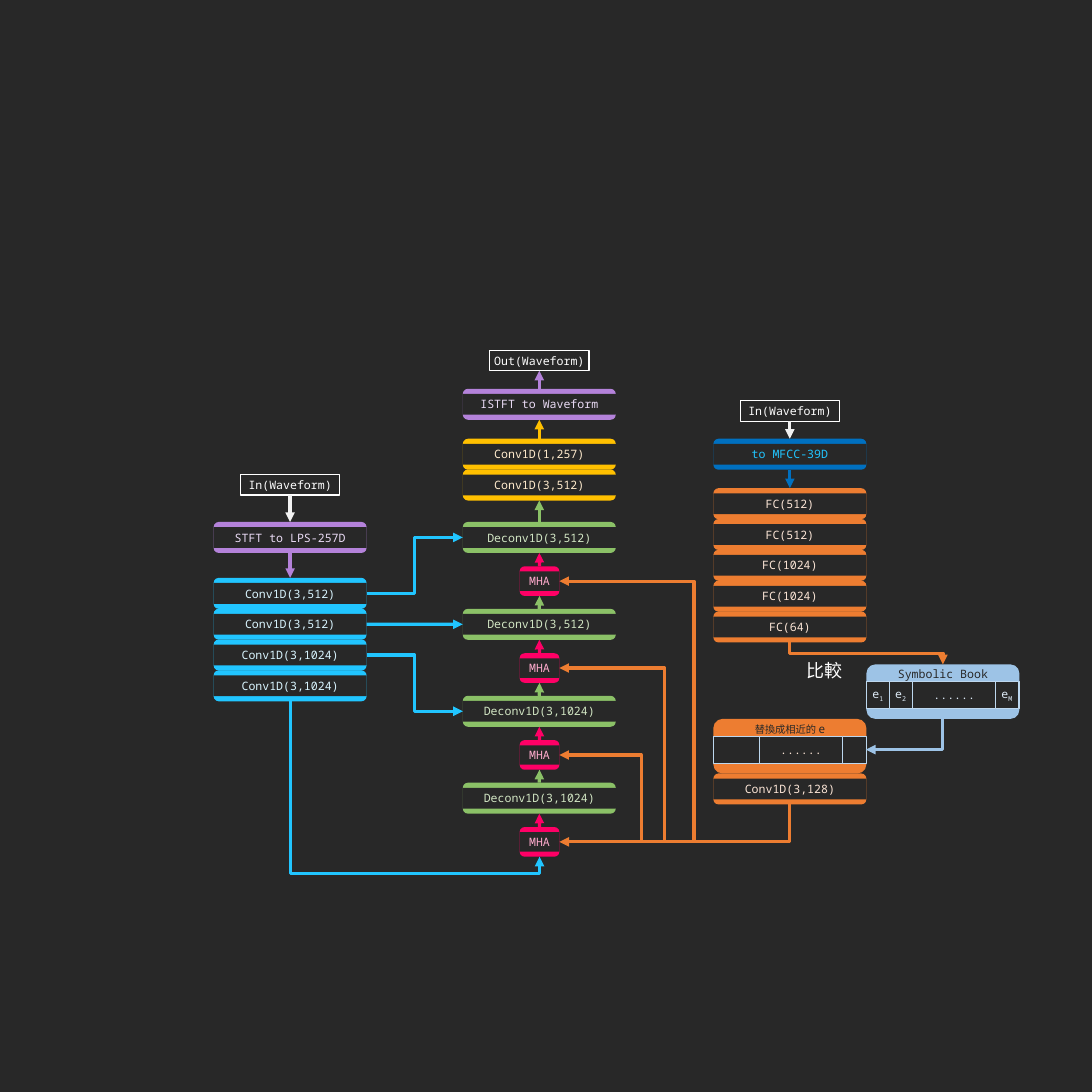
from dataclasses import dataclass
from typing import Optional

from lxml.etree import SubElement
from pptx import Presentation
from pptx.dml.color import RGBColor as RGB
from pptx.dml.line import LineFormat
from pptx.enum.shapes import MSO_CONNECTOR as CONN, MSO_SHAPE as SHAPE
from pptx.enum.text import MSO_ANCHOR as ANCHOR, PP_ALIGN as ALIGN
from pptx.oxml.ns import qn
from pptx.shapes.autoshape import Shape
from pptx.shapes.shapetree import GroupShapes, SlideShapes
from pptx.util import Inches, Pt

MONO, CJK = "Noto Sans Mono", "Noto Sans CJK TC"
COLORS = {
    "bg": "282828", "white": "FFFFFF", "io": "F2F2F2",
    "conv": "21C5FF", "conv_text": "D9F5FF",
    "deconv": "8BC167", "deconv_text": "D2E6C4",
    "final": "FFC000", "final_text": "FFEBCD",
    "stft": "B482DA", "stft_text": "EADBF5",
    "mha": "FF0066", "mha_text": "FFABCD",
    "mfcc": "0070C0", "mfcc_text": "21C5FF",
    "fc": "ED7D31", "fc_text": "FBE5D6",
    "book": "9DC3E6", "book_text": "DEEBF7", "cell": "BDD7EE",
}
TOP, LEFT, BOTTOM, RIGHT = range(4)
ENC_X, DEC_X, SYM_X = 4.62, 10.01, 15.43
BLOCK_W, BLOCK_H, PITCH, STAGE = 3.31, 0.67, 2 / 3, 1.88
DECODER_Y = 11.29


@dataclass
class Block:
    key: str
    tone: str
    text: str
    left: float
    top: float
    width: float = BLOCK_W
    height: float = BLOCK_H
    band: float = 0.11


@dataclass
class Cell:
    offset: float
    width: float
    text: str
    sub: str = ""


@dataclass
class Book:
    key: str
    tone: str
    left: float
    top: float
    title: list[tuple[str, str, int]]
    cells: list[Cell]


@dataclass
class Arrow:
    src: str
    dst: str
    src_side: int = TOP
    dst_side: int = BOTTOM
    bend: str = ""
    lane_y: Optional[float] = None
    lane_x: Optional[float] = None


def rgb(name: str) -> RGB:
    return RGB.from_string(COLORS[name])


def fade_line(line: LineFormat, start: str, end: str, width: float) -> None:
    line.width = Pt(width)
    line.fill.gradient()
    for stop, name in zip(line.fill.gradient_stops, (start, end)):
        stop.color.rgb = rgb(name)


def add_box(shapes: GroupShapes | SlideShapes, kind: SHAPE, left: float, top: float,
            width: float, height: float, fill: str = "bg") -> Shape:
    sp = shapes.add_shape(kind, Inches(left), Inches(top), Inches(width), Inches(height))
    sp.shadow.inherit = False
    sp.fill.solid()
    sp.fill.fore_color.rgb = rgb(fill)
    sp.line.fill.background()
    return sp


def add_text(sp: Shape, text: str, *, color: str, size: int = 18,
             font: str = MONO, sub: bool = False) -> None:
    tf = sp.text_frame
    tf.word_wrap = False
    tf.vertical_anchor = ANCHOR.MIDDLE
    tf.margin_left = tf.margin_right = tf.margin_top = tf.margin_bottom = 0
    p = tf.paragraphs[0]
    p.alignment = ALIGN.CENTER
    r = p.add_run()
    r.text = text
    r.font.size = Pt(size)
    r.font.color.rgb = rgb(color)
    r.font.name = font
    props = r._r.get_or_add_rPr()
    SubElement(props, qn("a:ea")).set("typeface", font)
    if sub:
        props.set("baseline", "-25000")


def draw_block(shapes: SlideShapes, b: Block) -> Shape:
    group = shapes.add_group_shape().shapes
    frame = add_box(group, SHAPE.ROUNDED_RECTANGLE, b.left, b.top, b.width, b.height, b.tone)
    label = add_box(group, SHAPE.RECTANGLE, b.left, b.top + b.band, b.width,
                    b.height - 2 * b.band)
    add_text(label, b.text, color=f"{b.tone}_text")
    return frame


def draw_port(shapes: SlideShapes, text: str, left: float, top: float) -> Shape:
    sp = add_box(shapes, SHAPE.RECTANGLE, left, top, 2.15, 0.44)
    sp.line.color.rgb = rgb("white")
    sp.line.width = Pt(2)
    add_text(sp, text, color="white")
    return sp


def draw_book(shapes: SlideShapes, b: Book) -> tuple[Shape, Shape]:
    group = shapes.add_group_shape().shapes
    frame = add_box(group, SHAPE.ROUNDED_RECTANGLE, b.left, b.top, BLOCK_W, 1.18, b.tone)
    edge = "cell" if b.tone == "book" else b.tone
    row = None
    for cell in [Cell(0, 3.3, "")] + b.cells:
        sp = add_box(group, SHAPE.RECTANGLE, b.left + cell.offset, b.top + 0.37, cell.width, 0.59)
        fade_line(sp.line, "cell", edge, 1)
        row = row or sp
        if cell.text:
            add_text(sp, cell.text, color=f"{b.tone}_text")
        if cell.sub:
            add_text(sp, cell.sub, color=f"{b.tone}_text", sub=True)
    title = group.add_textbox(Inches(b.left), Inches(b.top - 0.04), Inches(BLOCK_W), Inches(0.49))
    for text, font, size in b.title:
        add_text(title, text, color="bg", size=size, font=font)
    return frame, row


def draw_arrow(shapes: SlideShapes, a: Arrow, nodes: dict[str, Shape],
               tones: dict[str, str]) -> None:
    c = shapes.add_connector(CONN.ELBOW if a.bend else CONN.STRAIGHT, 0, 0, 0, 0)
    c.begin_connect(nodes[a.src], a.src_side)
    c.end_connect(nodes[a.dst], a.dst_side)
    fade_line(c.line, tones[a.src], tones[a.dst], 5)
    props = c._element.spPr
    SubElement(props.find(qn("a:ln")), qn("a:tailEnd")).set("type", "triangle")
    SubElement(props, qn("a:effectLst"))
    if not a.bend or a.src_side != BOTTOM:
        return
    x, y = c.begin_x, c.begin_y
    dx, dy = c.end_x - x, c.end_y - y
    c.left, c.top = x + (dx - abs(dy)) // 2, y + (dy - abs(dx)) // 2
    c.width, c.height = abs(dy), abs(dx)
    xfrm = props.find(qn("a:xfrm"))
    xfrm.set("rot", str((270 if dx > 0 else 90) * 60000))
    xfrm.set("flipH", str(int(dx * dy > 0)))
    xfrm.set("flipV", "0")
    geom = props.find(qn("a:prstGeom"))
    geom.set("prst", a.bend)
    guides = geom.get_or_add_avLst()
    lanes = [(a.lane_y, y, dy), (a.lane_x, x, dx)]
    for i, (lane, start, span) in enumerate(lanes, 1):
        if lane is not None:
            gd = SubElement(guides, qn("a:gd"))
            gd.set("name", f"adj{i}" if a.bend != "bentConnector3" else "adj1")
            gd.set("fmla", f"val {round((Inches(lane) - start) / span * 100000)}")


def stack(key: str, tone: str, texts: list[str], left: float, top: float,
          pitch: float = PITCH) -> list[Block]:
    return [Block(f"{key}{i}", tone, t, left, top + i * pitch) for i, t in enumerate(texts)]


def main() -> None:
    prs = Presentation()
    prs.slide_width = prs.slide_height = Inches(23.62)
    s = prs.slides.add_slide(prs.slide_layouts[6])
    s.background.fill.solid()
    s.background.fill.fore_color.rgb = rgb("bg")

    blocks = [
        Block("stft", "stft", "STFT to LPS-257D", ENC_X, 11.29),
        *stack("conv", "conv", [f"Conv1D(3,{n})" for n in (512, 512, 1024, 1024)], ENC_X, 12.5),
        Block("istft", "stft", "ISTFT to Waveform", DEC_X, 8.41),
        *stack("final", "final", ["Conv1D(1,257)", "Conv1D(3,512)"], DEC_X, 9.49),
        *stack("deconv", "deconv", [f"Deconv1D(3,{n})" for n in (512, 512, 1024, 1024)],
               DEC_X, DECODER_Y, STAGE),
        *[Block(f"mha{i}", "mha", "MHA", 11.24, DECODER_Y + 0.96 + i * STAGE, 0.86, 0.64, 0.11)
          for i in range(4)],
        Block("mfcc", "mfcc", "to MFCC-39D", SYM_X, 9.49),
        *stack("fc", "fc", [f"FC({n})" for n in (512, 512, 1024, 1024, 64)], SYM_X, 10.56),
        Block("code", "fc", "Conv1D(3,128)", SYM_X, 16.73),
    ]
    books = [
        Book("book", "book", 18.74, 14.37, [("Symbolic Book", MONO, 18)],
             [Cell(0, 0.5, "e", "1"), Cell(1, 1.8, "......"),
              Cell(0.49, 0.5, "e", "2"), Cell(2.79, 0.5, "e", "M")]),
        Book("swap", "fc", SYM_X, 15.55, [("替換成相近的 ", CJK, 16), ("e", CJK, 18)],
             [Cell(0.99, 1.81, "......")]),
    ]
    ports = [("out", "Out(Waveform)", 10.59, 7.58), ("in_enc", "In(Waveform)", 5.2, 10.27),
             ("in_sym", "In(Waveform)", 16.01, 8.67)]
    arrows = [
        Arrow("in_enc", "stft", BOTTOM, TOP), Arrow("stft", "conv0", BOTTOM, TOP),
        Arrow("in_sym", "mfcc", BOTTOM, TOP), Arrow("mfcc", "fc0", BOTTOM, TOP),
        Arrow("istft", "out"), Arrow("final0", "istft"), Arrow("deconv0", "final1"),
        *[Arrow(f"mha{i}", f"deconv{i}") for i in range(4)],
        *[Arrow(f"deconv{i + 1}", f"mha{i}") for i in range(3)],
        *[Arrow(f"conv{i}", f"deconv{i}", RIGHT, LEFT, "" if i == 1 else "bentConnector3")
          for i in range(3)],
        Arrow("conv3", "mha3", BOTTOM, BOTTOM, "bentConnector3", 18.9),
        *[Arrow("code", f"mha{i}", BOTTOM, RIGHT, "bentConnector4", 18.2, x)
          for i, x in enumerate((15.01, 14.38, 13.87))],
        Arrow("code", "mha3", BOTTOM, RIGHT, "bentConnector2"),
        Arrow("fc4", "book", BOTTOM, TOP, "bentConnector3", 14.13),
        Arrow("book", "swap_row", BOTTOM, RIGHT, "bentConnector2"),
    ]

    nodes = {b.key: draw_block(s.shapes, b) for b in blocks}
    tones = {b.key: b.tone for b in blocks}
    for key, text, left, top in ports:
        nodes[key], tones[key] = draw_port(s.shapes, text, left, top), "io"
    for b in books:
        nodes[b.key], nodes[f"{b.key}_row"] = draw_book(s.shapes, b)
        tones[b.key] = tones[f"{b.key}_row"] = b.tone
    for a in arrows:
        draw_arrow(s.shapes, a, nodes, tones)
    compare = add_box(s.shapes, SHAPE.RECTANGLE, 17.13, 14.19, 1.4, 0.61)
    add_text(compare, "比較", color="white", size=28, font=CJK)
    prs.save("out.pptx")


if __name__ == "__main__":
    main()
